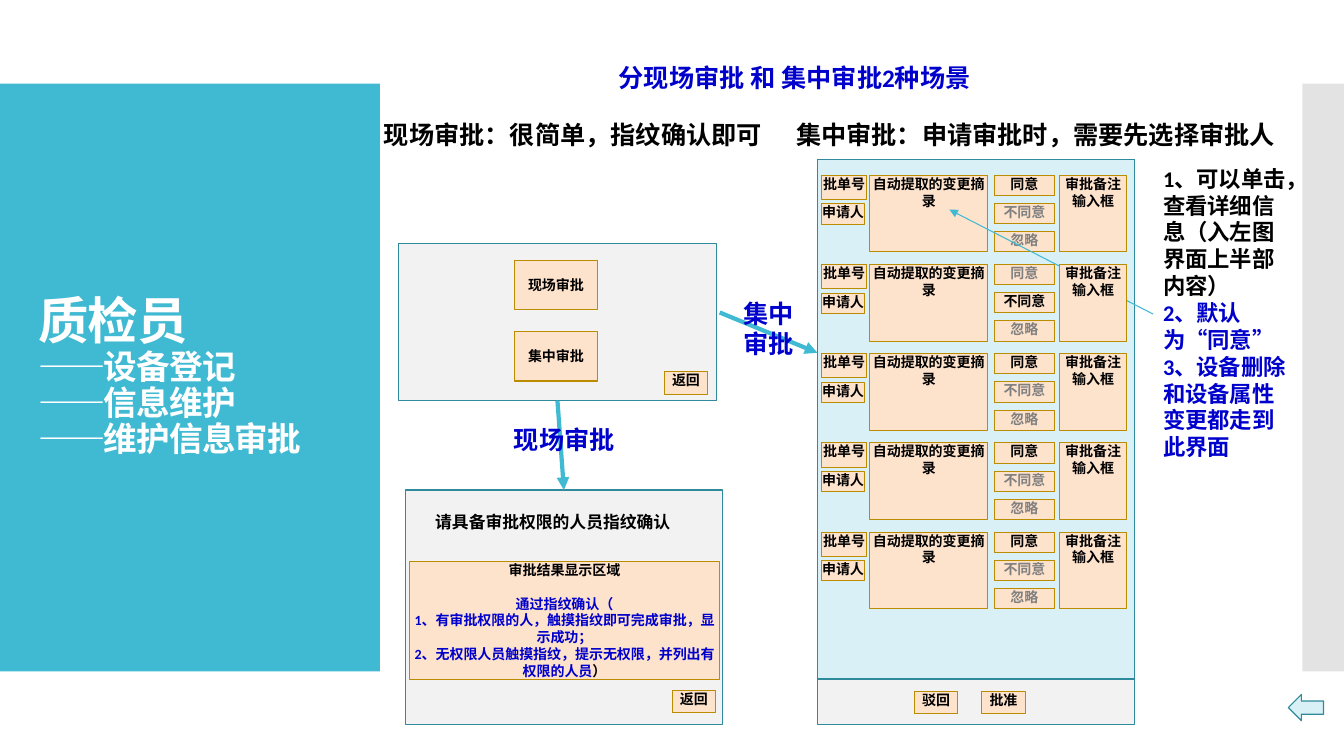
from lxml import etree
from pptx import Presentation
from pptx.dml.color import RGBColor
from pptx.enum.shapes import MSO_CONNECTOR, MSO_SHAPE
from pptx.enum.text import MSO_ANCHOR, PP_ALIGN
from pptx.oxml.ns import qn
from pptx.util import Pt

RECT, ARROW = MSO_SHAPE.RECTANGLE, MSO_SHAPE.RIGHT_ARROW
LINE = MSO_CONNECTOR.STRAIGHT
TOP, MID = MSO_ANCHOR.TOP, MSO_ANCHOR.MIDDLE
LEFT, CENTER = PP_ALIGN.LEFT, PP_ALIGN.CENTER

FONT = "Calibri"
HUES = {
    "teal": "40BAD2", "edge": "2F8A9B", "pale": "D9F1F6", "gray": "F2F2F2",
    "side": "C8C8C8", "peach": "FDE2CC", "gold": "BB8B00", "white": "FFFFFF",
    "black": "000000", "blue": "0000CC", "dim": "808080",
}


def hue(name):
    return RGBColor.from_string(HUES[name])


def write(frame, paras, size, align=LEFT, anchor=TOP):
    """Each paragraph is a list of (text, colour) runs."""
    frame.word_wrap = True
    frame.vertical_anchor = anchor
    for i, runs in enumerate(paras):
        para = frame.paragraphs[0] if i == 0 else frame.add_paragraph()
        para.alignment = align
        for text, color in runs:
            run = para.add_run()
            run.text = text
            font = run.font
            font.name, font.size, font.bold = FONT, Pt(size), True
            font.color.rgb = hue(color)


def block(slide, box, fill, edge=None, width=0.85, kind=RECT):
    shape = slide.shapes.add_shape(kind, *map(Pt, box))
    shape.shadow.inherit = False
    shape.fill.solid()
    shape.fill.fore_color.rgb = hue(fill)
    if edge:
        shape.line.color.rgb = hue(edge)
        shape.line.width = Pt(width)
    else:
        shape.line.fill.background()
    return shape


def field(slide, box, paras, anchor=TOP):
    shape = block(slide, box, "peach", "gold", 0.75)
    frame = shape.text_frame
    frame.margin_left = frame.margin_right = 0
    frame.margin_top = frame.margin_bottom = 0
    write(frame, paras, 10, CENTER, anchor)
    return shape


def button(slide, x, y, text):
    field(slide, (x, y, 31, 15.8), [[(text, "black")]])


def label(slide, box, paras, size=18, wrap=True, anchor=TOP):
    shape = slide.shapes.add_textbox(*map(Pt, box))
    write(shape.text_frame, paras, size, anchor=anchor)
    shape.text_frame.word_wrap = wrap
    return shape


def link(slide, start, end, width):
    line = slide.shapes.add_connector(LINE, *map(Pt, start + end))
    line.line.color.rgb = hue("teal")
    line.line.width = Pt(width)
    etree.SubElement(line.line._get_or_add_ln(), qn("a:tailEnd"), type="triangle")
    etree.SubElement(line._element.spPr, qn("a:effectLst"))
    return line


def banner(slide, box):
    x, y, w, h = box
    block(slide, box, "teal")
    side = block(slide, (930.2, y, 29.8, h), "side")
    color = side._element.spPr.find(".//" + qn("a:srgbClr"))
    etree.SubElement(color, qn("a:alpha"), val="50000")
    names = ["质检员", "——设备登记", "——信息维护", "——维护信息审批"]
    title = label(slide, (x + 20.2, y + 28.8, 231.8, 362.2),
                  [[(name, "white")] for name in names], 24, anchor=MID)
    for para in title.text_frame.paragraphs:
        para.line_spacing = 0.9
        para.runs[0]._r.get_or_add_rPr().set("spc", "-60")
    title.text_frame.paragraphs[0].runs[0].font.size = Pt(36)


def heads(slide, x, y):
    label(slide, (x + 167.8, y, 281.5, 28.8),
          [[("分现场审批 和 集中审批2种场景", "blue")]])
    label(slide, (x, y + 40.4, 287.3, 28.8),
          [[("现场审批：很简单，指纹确认即可", "black")]], wrap=False)
    label(slide, (x + 294.5, y + 40.4, 360, 28.8),
          [[("集中审批：申请审批时，需要先选择审批人", "black")]], wrap=False)


def choice(slide, box):
    x, y, w, h = box
    panel = block(slide, box, "gray", "edge")
    for i, text in enumerate(["现场审批", "集中审批"]):
        field(slide, (x + 82.4, y + 11.9 + 51.1 * i, 59.8, 35.3),
              [[(text, "black")]], MID)
    button(slide, x + 189.7, y + 91.8, "返回")
    return panel


def result(slide, box):
    x, y, w, h = box
    panel = block(slide, box, "gray", "edge")
    label(slide, (x + 14.4, y + 12.2, 202.3, 21.6),
          [[("请具备审批权限的人员指纹确认", "black")]], 12)
    area = field(slide, (x + 2.9, y + 51.1, 221.8, 84.2), [
        [("审批结果显示区域", "black")],
        [("通过指纹确认（", "blue")],
        [("1、有审批权限的人，触摸指纹即可完成审批，显示成功；", "blue")],
        [("2、无权限人员触摸指纹，提示无权限，并列出有权限的人员", "blue"),
         ("）", "black")],
    ])
    area.text_frame.paragraphs[1].space_before = Pt(12)
    button(slide, x + 190.8, y + 143.2, "返回")
    return panel


def entry(slide, x, y, picked):
    field(slide, (x, y, 32.4, 17.3), [[("批单号", "black")]])
    field(slide, (x + 34.6, y, 84.2, 54.7), [[("自动提取的变更摘录", "black")]])
    field(slide, (x, y + 20.4, 31, 14.4), [[("申请人", "black")]])
    for i, text in enumerate(["同意", "不同意", "忽略"]):
        color = "black" if text == picked else "dim"
        field(slide, (x + 123.8, y + 20.15 * i, 42.5, 14.4), [[(text, color)]])
    field(slide, (x + 170, y, 48.2, 54.7), [[("审批备注输入框", "black")]])


def batch(slide, box):
    x, y, w, h = box
    block(slide, box, "gray", "edge")
    block(slide, (x, y, w, 370.8), "pale", "edge")
    for i, text in enumerate(["驳回", "批准"]):
        button(slide, x + 69.4 + 48.2 * i, y + 379.8, text)
    note = label(slide, (x + w + 13.2, y, 103, 220.3), [
        [("1、可以单击，查看详细信息（入左图界面上半部内容）", "black")],
        [("2、默认为“同意”", "blue")],
        [("3、设备删除和设备属性变更都走到此界面", "blue")],
    ], 16)
    for i, picked in enumerate(["同意", "不同意", "同意", "同意", "同意"]):
        entry(slide, x + 3, y + 11.1 + 63.7 * i, picked)
        if i == 0:  # the pointer runs beneath the later entries
            line = link(slide, (x + w + 13.2, y + 110.2), (x + 94.5, y + 35.6), 0.75)
            line.begin_connect(note, 1)


def flow(slide, first, last):
    down = link(slide, (398.2, 286.2), (402.8, 350), 3)
    down.begin_connect(first, 2)
    down.end_connect(last, 0)
    link(slide, (514.1, 223.2), (583.9, 252), 3)
    label(slide, (360, 299.5, 91.4, 28.8), [[("现场审批", "blue")]], wrap=False)
    label(slide, (524.2, 209.5, 54.7, 51.1),
          [[("集中", "blue")], [("审批", "blue")]], wrap=False)


def main():
    prs = Presentation()
    prs.slide_width, prs.slide_height = Pt(960), Pt(540)
    slide = prs.slides.add_slide(prs.slide_layouts[6])
    banner(slide, (0, 59.8, 271.4, 419.8))
    heads(slide, 267.1, 41)
    last = result(slide, (289.4, 350, 226.8, 167.8))
    batch(slide, (583.7, 114.2, 226.8, 403.2))
    first = choice(slide, (284.8, 173.9, 226.8, 112.3))
    flow(slide, first, last)
    # Back arrow
    back = block(slide, (920.2, 496.1, 25.2, 18.7), "pale", "edge", kind=ARROW)
    back.rotation = 180
    prs.save("out.pptx")


if __name__ == "__main__":
    main()
